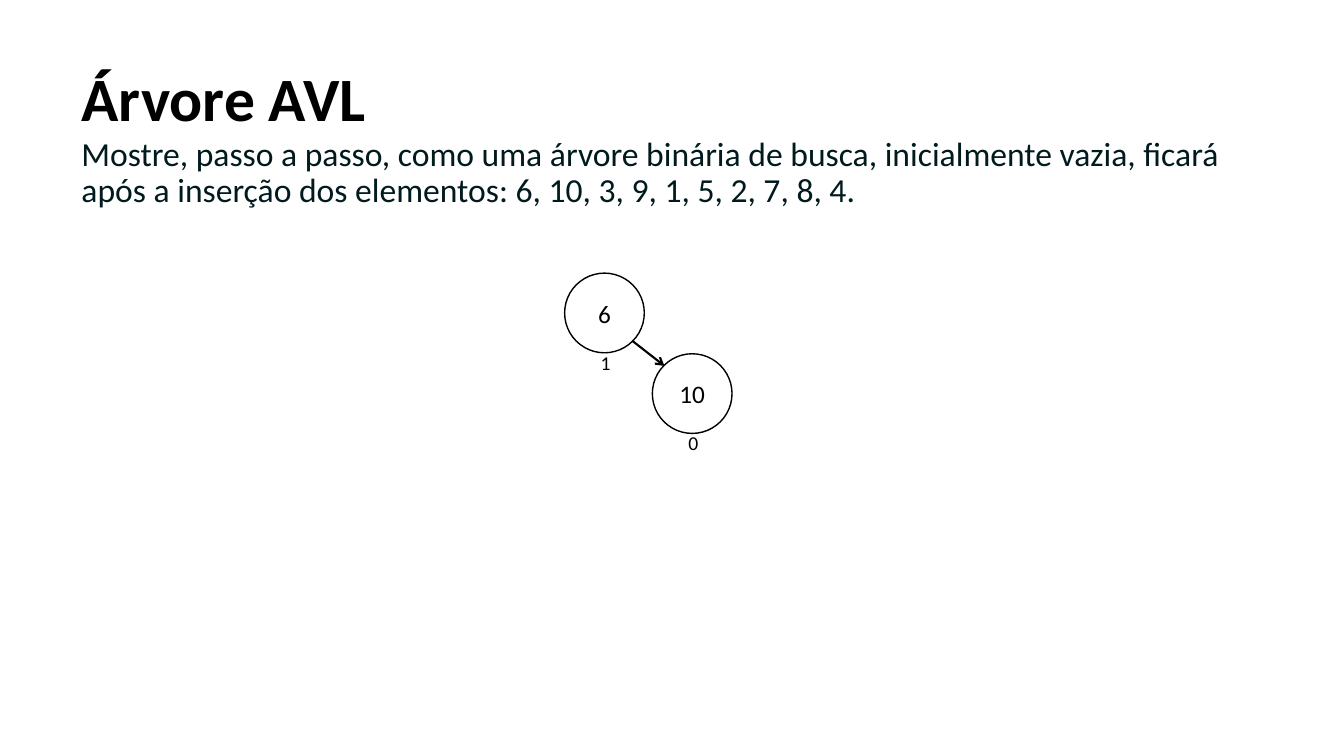
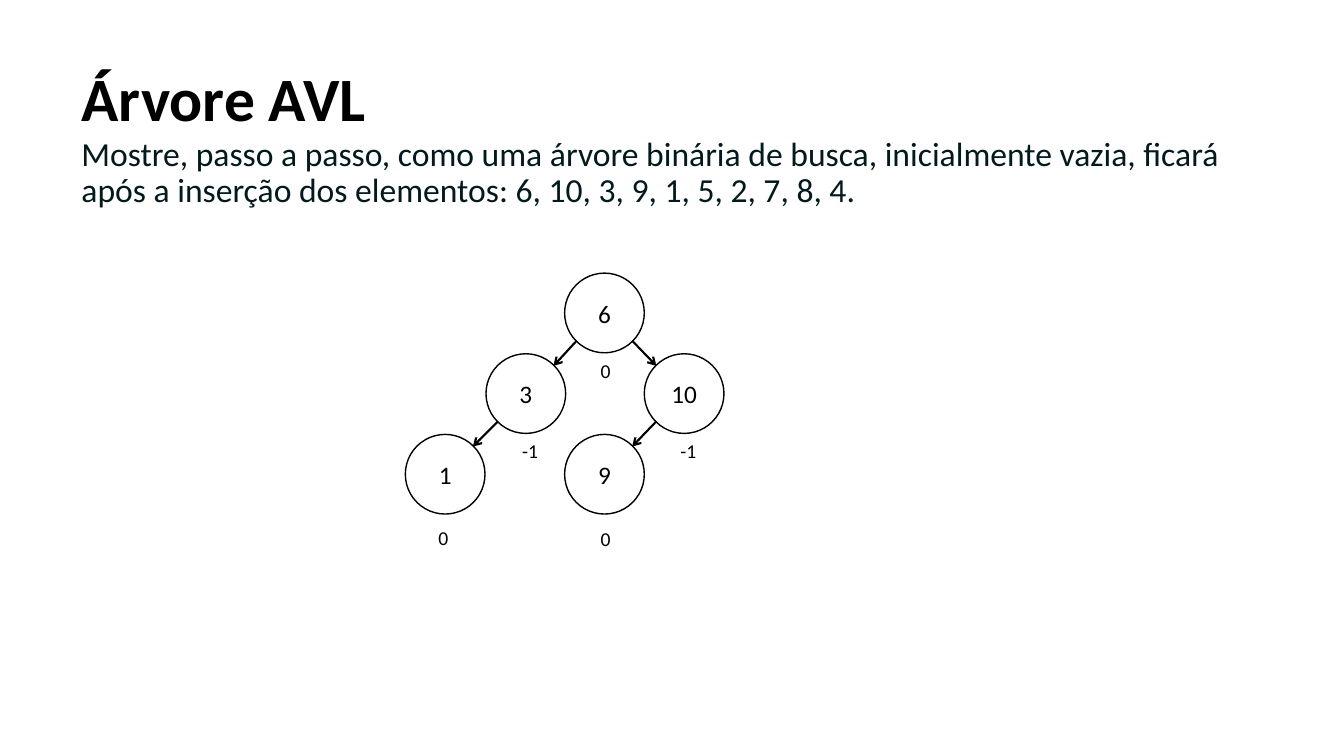
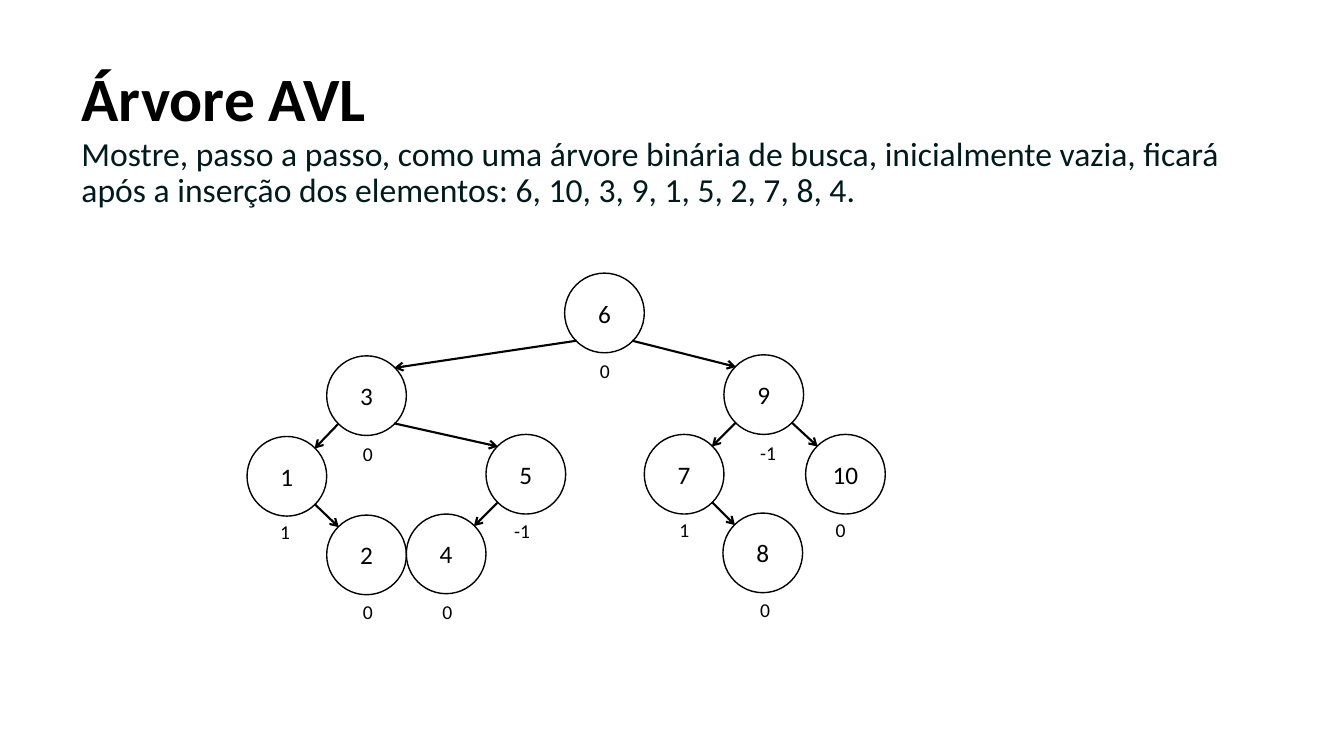
from dataclasses import dataclass
from math import sqrt

from lxml.etree import SubElement
from pptx import Presentation
from pptx.dml.color import RGBColor
from pptx.enum.shapes import MSO_CONNECTOR, MSO_SHAPE
from pptx.enum.text import MSO_ANCHOR, PP_ALIGN
from pptx.oxml.ns import qn
from pptx.util import Emu, Pt

EMU_PER_PX = 9144
NODE_SIZE = 79
NODE_INSET = round(NODE_SIZE * (1 - sqrt(0.5)) / 2)
TITLE = "Árvore AVL"
EXERCISE = (
    "Mostre, passo a passo, como uma árvore binária de busca, inicialmente vazia, "
    "ficará após a inserção dos elementos: 6, 10, 3, 9, 1, 5, 2, 7, 8, 4."
)


@dataclass(frozen=True)
class Theme:
    """Colours, font, type sizes and line widths of the deck."""

    font: str = "Calibri"
    ink: str = "000000"
    body_ink: str = "001A1E"
    paper: str = "FFFFFF"
    title_size: int = 44
    body_size: int = 24
    key_size: int = 18
    balance_size: int = 14
    node_line: float = 1
    edge_line: float = 1.5


@dataclass(frozen=True)
class Node:
    """A tree node with its place, balance factor and label offset."""

    key: int
    left: int
    top: int
    balance: int
    label_left: int = 26
    label_top: int = 80


@dataclass(frozen=True)
class Tree:
    """One step of the insertion: nodes, edges and box sizes."""

    nodes: tuple
    edges: tuple
    label_size: tuple = (42, 42)
    body_height: int = 95


TREES = (
    Tree(
        nodes=(
            Node(6, 560, 271, 1, label_top=72),
            Node(10, 647, 351, 0, label_top=72),
        ),
        edges=((6, 10),),
        label_size=(428, 50),
        body_height=545,
    ),
    Tree(
        nodes=(
            Node(6, 560, 271, 0),
            Node(10, 639, 351, -1),
            Node(3, 482, 351, -1),
            Node(9, 560, 431, 0, label_top=87),
            Node(1, 402, 431, 0, 23, 86),
        ),
        edges=((6, 10), (6, 3), (10, 9), (3, 1)),
    ),
    Tree(
        nodes=(
            Node(6, 560, 271, 0, 25),
            Node(10, 799, 431, 0, 20, 78),
            Node(3, 324, 353, 0),
            Node(9, 718, 352, -1),
            Node(1, 245, 433, 1, 23, 78),
            Node(5, 482, 431, -1, 18, 79),
            Node(2, 324, 511, 0, label_top=79),
            Node(7, 639, 431, 1, 25, 78),
            Node(8, 717, 509, 0, 27, 79),
            Node(4, 403, 510, 0),
        ),
        edges=((6, 9), (6, 3), (3, 1), (3, 5), (1, 2), (9, 7), (9, 10), (7, 8), (5, 4)),
    ),
)


def px(length):
    """Turn px into EMU."""
    return Emu(length * EMU_PER_PX)


def write(shape, text, *, font, size, color, bold=False, align=PP_ALIGN.LEFT,
          anchor=MSO_ANCHOR.TOP, line_spacing=None, space_before=0):
    """Put formatted text in a shape."""
    frame = shape.text_frame
    frame.word_wrap = True
    frame.vertical_anchor = anchor
    paragraph = frame.paragraphs[0]
    paragraph.alignment = align
    paragraph.line_spacing = line_spacing
    paragraph.space_before = Pt(space_before)
    run = paragraph.add_run()
    run.text = text
    run.font.name = font
    run.font.size = Pt(size)
    run.font.bold = bold
    run.font.color.rgb = RGBColor.from_string(color)


class Deck:
    """Holds the style and the current slide."""

    def __init__(self, theme):
        """Start a widescreen presentation."""
        self.theme = theme
        self.presentation = Presentation()
        self.presentation.slide_width = px(1333)
        self.presentation.slide_height = px(750)
        self.slide = None

    def add_slide(self):
        """Open a blank slide."""
        self.slide = self.presentation.slides.add_slide(self.presentation.slide_layouts[6])
        fill = self.slide.background.fill
        fill.solid()
        fill.fore_color.rgb = RGBColor.from_string(self.theme.paper)

    def text(self, text, left, top, width, height, **style):
        """Add a text box."""
        box = self.slide.shapes.add_textbox(px(left), px(top), px(width), px(height))
        write(box, text, font=self.theme.font, **style)

    def heading(self, body_height):
        """Add the title and the exercise text."""
        theme = self.theme
        self.text(TITLE, 71, 28, 1150, 145, size=theme.title_size, color=theme.ink,
                  bold=True, anchor=MSO_ANCHOR.MIDDLE, line_spacing=0.9)
        self.text(EXERCISE, 71, 131, 1150, body_height, size=theme.body_size,
                  color=theme.body_ink, line_spacing=0.9, space_before=10)

    def node(self, node, label_size):
        """Add a circle with its key and its balance factor."""
        theme = self.theme
        circle = self.slide.shapes.add_shape(
            MSO_SHAPE.OVAL, px(node.left), px(node.top), px(NODE_SIZE), px(NODE_SIZE))
        circle.shadow.inherit = False
        circle.fill.background()
        circle.line.color.rgb = RGBColor.from_string(theme.ink)
        circle.line.width = Pt(theme.node_line)
        write(circle, str(node.key), font=theme.font, size=theme.key_size, color=theme.ink,
              align=PP_ALIGN.CENTER, anchor=MSO_ANCHOR.MIDDLE)
        self.text(str(node.balance), node.left + node.label_left, node.top + node.label_top,
                  *label_size, size=theme.balance_size, color=theme.ink)

    def edge(self, parent, child):
        """Add an arrow between the facing diagonals of two circles."""
        near, far = NODE_INSET, NODE_SIZE - NODE_INSET
        start, end = (far, near) if child.left > parent.left else (near, far)
        arrow = self.slide.shapes.add_connector(
            MSO_CONNECTOR.STRAIGHT, px(parent.left + start), px(parent.top + far),
            px(child.left + end), px(child.top + near))
        arrow.line.color.rgb = RGBColor.from_string(self.theme.ink)
        arrow.line.width = Pt(self.theme.edge_line)
        SubElement(arrow.line._get_or_add_ln(), qn("a:tailEnd"), type="arrow")
        SubElement(arrow._element.spPr, qn("a:effectLst"))

    def tree(self, tree):
        """Draw one step of the insertion on a new slide."""
        self.add_slide()
        self.heading(tree.body_height)
        nodes = {node.key: node for node in tree.nodes}
        for node in tree.nodes:
            self.node(node, tree.label_size)
        for parent, child in tree.edges:
            self.edge(nodes[parent], nodes[child])


def main():
    """Build and save the deck."""
    deck = Deck(Theme())
    for tree in TREES:
        deck.tree(tree)
    deck.presentation.save("out.pptx")


if __name__ == "__main__":
    main()
